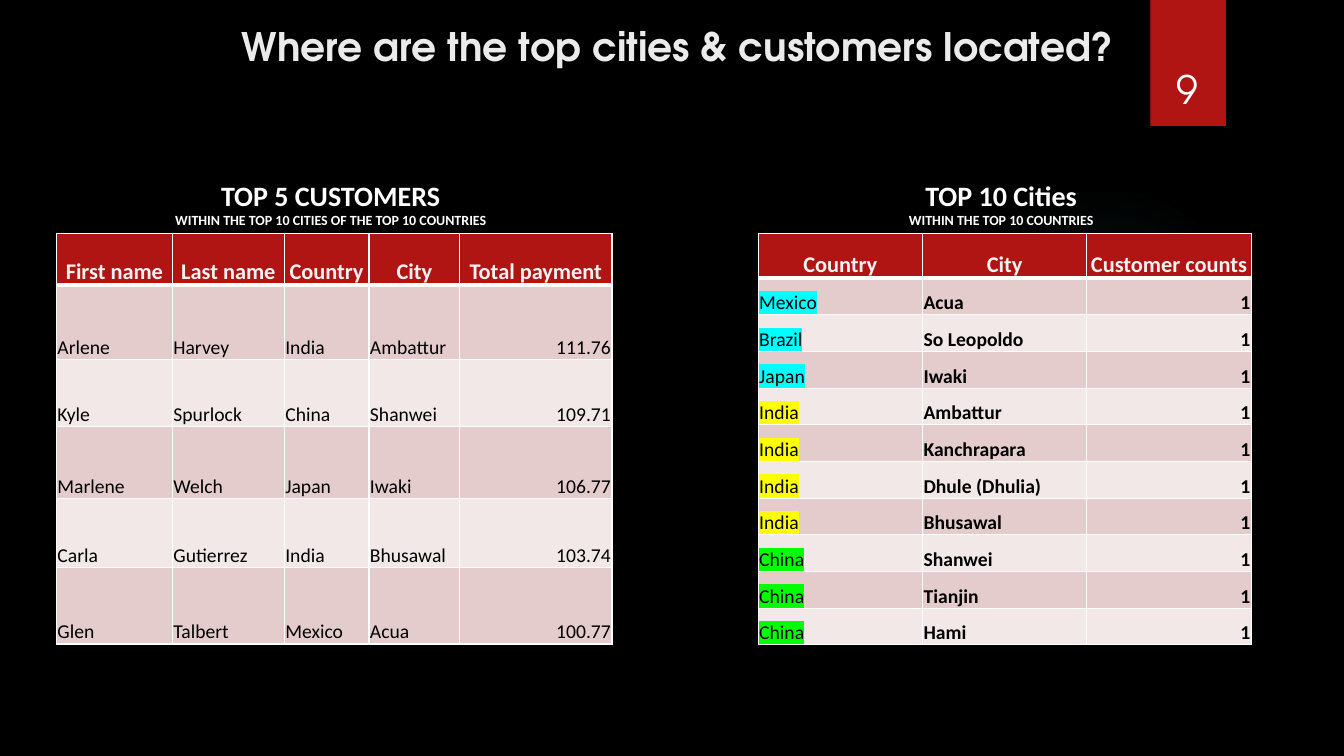
from lxml import etree
from pptx import Presentation
from pptx.dml.color import RGBColor
from pptx.enum.shapes import MSO_SHAPE as Shape
from pptx.enum.text import MSO_ANCHOR as Anchor, MSO_AUTO_SIZE as AutoSize, PP_ALIGN as Align
from pptx.oxml import parse_xml
from pptx.oxml.ns import nsdecls, qn
from pptx.util import Inches, Pt

BODY_FONT = "Calibri"
TITLE_FONT = "TeX Gyre Adventor"
RED, WHITE, BLACK = "B01513", "FFFFFF", "000000"
BANDS = ("E4CCCC", "F2E8E7")
TABLE_TOP, TABLE_HEIGHT = 2.32, 4.08
COUNTRY_HIGHLIGHTS = {"Mexico": "00FFFF", "Brazil": "00FFFF", "Japan": "00FFFF",
                      "India": "FFFF00", "China": "00FF00"}

CUSTOMERS = [
    ("First name", "Last name", "Country", "City", "Total payment"),
    ("Arlene", "Harvey", "India", "Ambattur", "111.76"),
    ("Kyle", "Spurlock", "China", "Shanwei", "109.71"),
    ("Marlene", "Welch", "Japan", "Iwaki", "106.77"),
    ("Carla", "Gutierrez", "India", "Bhusawal", "103.74"),
    ("Glen", "Talbert", "Mexico", "Acua", "100.77"),
]
CITIES = [
    ("Country", "City", "Customer counts"),
    ("Mexico", "Acua", "1"),
    ("Brazil", "So Leopoldo", "1"),
    ("Japan", "Iwaki", "1"),
    ("India", "Ambattur", "1"),
    ("India", "Kanchrapara", "1"),
    ("India", "Dhule (Dhulia)", "1"),
    ("India", "Bhusawal", "1"),
    ("China", "Shanwei", "1"),
    ("China", "Tianjin", "1"),
    ("China", "Hami", "1"),
]


def color(value):
    return RGBColor.from_string(value)


def paint(fill, value):
    fill.solid()
    fill.fore_color.rgb = color(value)


def write_text(paragraph, text, size=14, font=BODY_FONT, ink=WHITE, bold=False,
               align=Align.LEFT, highlight=None):
    paragraph.alignment = align
    run = paragraph.add_run()
    run.text = text
    run.font.size = Pt(size)
    run.font.name = font
    run.font.bold = bold
    run.font.color.rgb = color(ink)
    if highlight:
        properties = run.font.color and run._r.get_or_add_rPr()
        mark = etree.Element(qn("a:highlight"))
        etree.SubElement(mark, qn("a:srgbClr"), val=highlight)
        properties.find(qn("a:solidFill")).addnext(mark)


def add_block(slide, preset, left, top, width, height):
    shape = slide.shapes.add_shape(preset, Inches(left), Inches(top), Inches(width), Inches(height))
    shape.shadow.inherit = False
    shape.line.fill.background()
    return shape


def add_glow(slide):
    glow = add_block(slide, Shape.OVAL, 9.41, 1.83, 3.08, 3.08)
    stops = "".join(
        f'<a:gs pos="{position}000"><a:srgbClr val="50B9C1"><a:alpha val="{alpha}000"/></a:srgbClr></a:gs>'
        for position, alpha in ((0, 7), (36, 6), (69, 0)))
    gradient = parse_xml(
        f'<a:gradFill {nsdecls("a")}><a:gsLst>{stops}</a:gsLst><a:path path="circle">'
        '<a:fillToRect l="50000" t="50000" r="50000" b="50000"/></a:path></a:gradFill>')
    glow._element.spPr.find(qn("a:prstGeom")).addnext(gradient)


def add_text_box(slide, left, top, width, height, wrap=False):
    box = slide.shapes.add_textbox(Inches(left), Inches(top), Inches(width), Inches(height))
    box.text_frame.word_wrap = wrap
    return box.text_frame


def add_caption(slide, left, width, heading, detail):
    frame = add_text_box(slide, left, 1.72, width, 0.61)
    frame.auto_size = AutoSize.SHAPE_TO_FIT_TEXT
    write_text(frame.paragraphs[0], heading, size=20, bold=True, align=Align.CENTER)
    write_text(frame.add_paragraph(), detail, size=10, bold=True, align=Align.CENTER)


def set_borders(cell, top_width, bottom_width):
    properties = cell._tc.get_or_add_tcPr()
    widths = {"lnL": 1, "lnR": 1, "lnT": top_width, "lnB": bottom_width}
    for position, (side, width) in enumerate(widths.items()):
        properties.insert(position, parse_xml(
            f'<a:{side} {nsdecls("a")} w="{Pt(width)}"><a:solidFill>'
            f'<a:srgbClr val="{WHITE}"/></a:solidFill></a:{side}>'))


def add_data_table(slide, left, rows, widths, heights, bold_columns=(), highlights=None):
    table = slide.shapes.add_table(
        len(rows), len(widths), Inches(left), Inches(TABLE_TOP),
        Inches(sum(widths)), Inches(TABLE_HEIGHT)).table
    for column, width in zip(table.columns, widths):
        column.width = Inches(width)
    for row, height in zip(table.rows, heights):
        row.height = Inches(height)
    last = len(widths) - 1
    for r, values in enumerate(rows):
        for c, value in enumerate(values):
            cell = table.cell(r, c)
            cell.vertical_anchor = Anchor.BOTTOM
            cell.margin_left = cell.margin_right = cell.margin_top = Inches(0.01)
            cell.margin_bottom = 0
            paragraph = cell.text_frame.paragraphs[0]
            if r == 0:
                paint(cell.fill, RED)
                write_text(paragraph, value, size=16, ink="F2F2F2", bold=True, align=Align.CENTER)
            else:
                paint(cell.fill, BANDS[(r - 1) % 2])
                write_text(paragraph, value, ink=BLACK, bold=c in bold_columns,
                           align=Align.RIGHT if c == last else Align.LEFT,
                           highlight=highlights.get(value) if highlights and c == 0 else None)
            set_borders(cell, 3 if r == 1 else 1, 3 if r == 0 else 1)


def add_title(slide, text):
    title = slide.shapes.title
    title.left, title.top, title.width, title.height = map(Inches, (2.3, 0.17, 9.71, 0.57))
    frame = title.text_frame
    frame.vertical_anchor = Anchor.TOP
    frame.word_wrap = True
    frame.auto_size = AutoSize.SHAPE_TO_FIT_TEXT
    write_text(frame.paragraphs[0], text, size=28, font=TITLE_FONT, ink="EBEBEB", bold=True)


def main():
    presentation = Presentation()
    presentation.slide_width, presentation.slide_height = Inches(13.33), Inches(7.5)
    slide = presentation.slides.add_slide(presentation.slide_layouts[5])
    paint(slide.background.fill, BLACK)

    # Backdrop and page number
    add_glow(slide)
    paint(add_block(slide, Shape.RECTANGLE, 11.41, 0, 0.75, 1.25).fill, RED)
    number = add_text_box(slide, 11.32, 0.32, 0.92, 0.84, wrap=True)
    number.vertical_anchor = Anchor.BOTTOM
    write_text(number.paragraphs[0], "9", size=28, font=TITLE_FONT, align=Align.CENTER)

    # Tables
    header = 0.44
    city_rows = len(CITIES) - 1
    add_data_table(slide, 7.52, CITIES, [1.63] * 3,
                   [header] + [(TABLE_HEIGHT - header) / city_rows] * city_rows,
                   bold_columns=(1, 2), highlights=COUNTRY_HIGHLIGHTS)
    add_data_table(slide, 0.56, CUSTOMERS, [1.15, 1.11, 0.84, 0.9, 1.51],
                   [0.51, 0.74, 0.66, 0.72, 0.68, 0.76])

    # Captions and title
    add_caption(slide, 1.61, 3.34, "TOP 5 CUSTOMERS",
                "WITHIN THE TOP 10 CITIES OF THE TOP 10 COUNTRIES")
    add_caption(slide, 8.9, 2.06, "TOP 10 Cities", "WITHIN THE TOP 10 COUNTRIES")
    add_title(slide, "Where are the top cities & customers located?")

    presentation.save("out.pptx")


if __name__ == "__main__":
    main()
